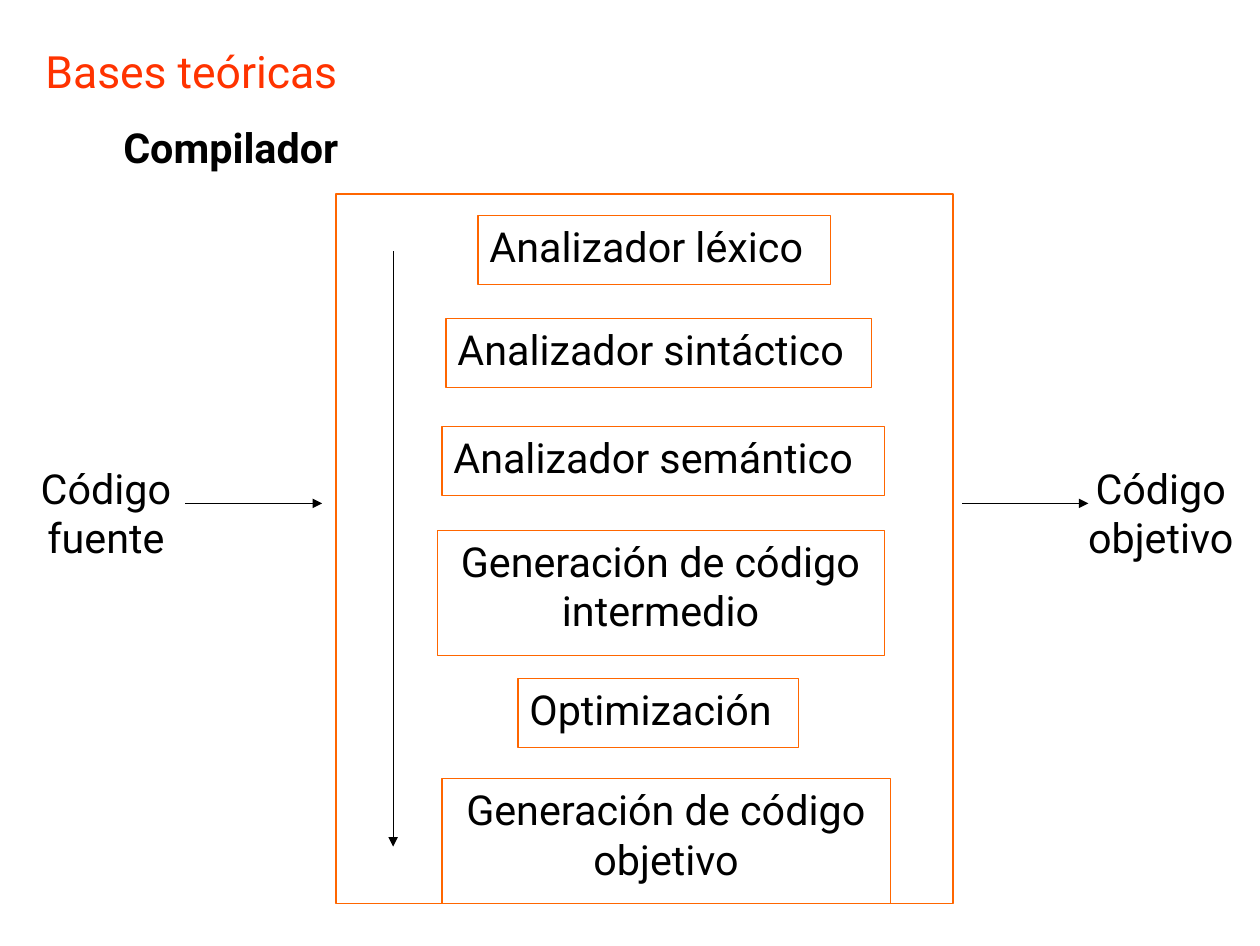
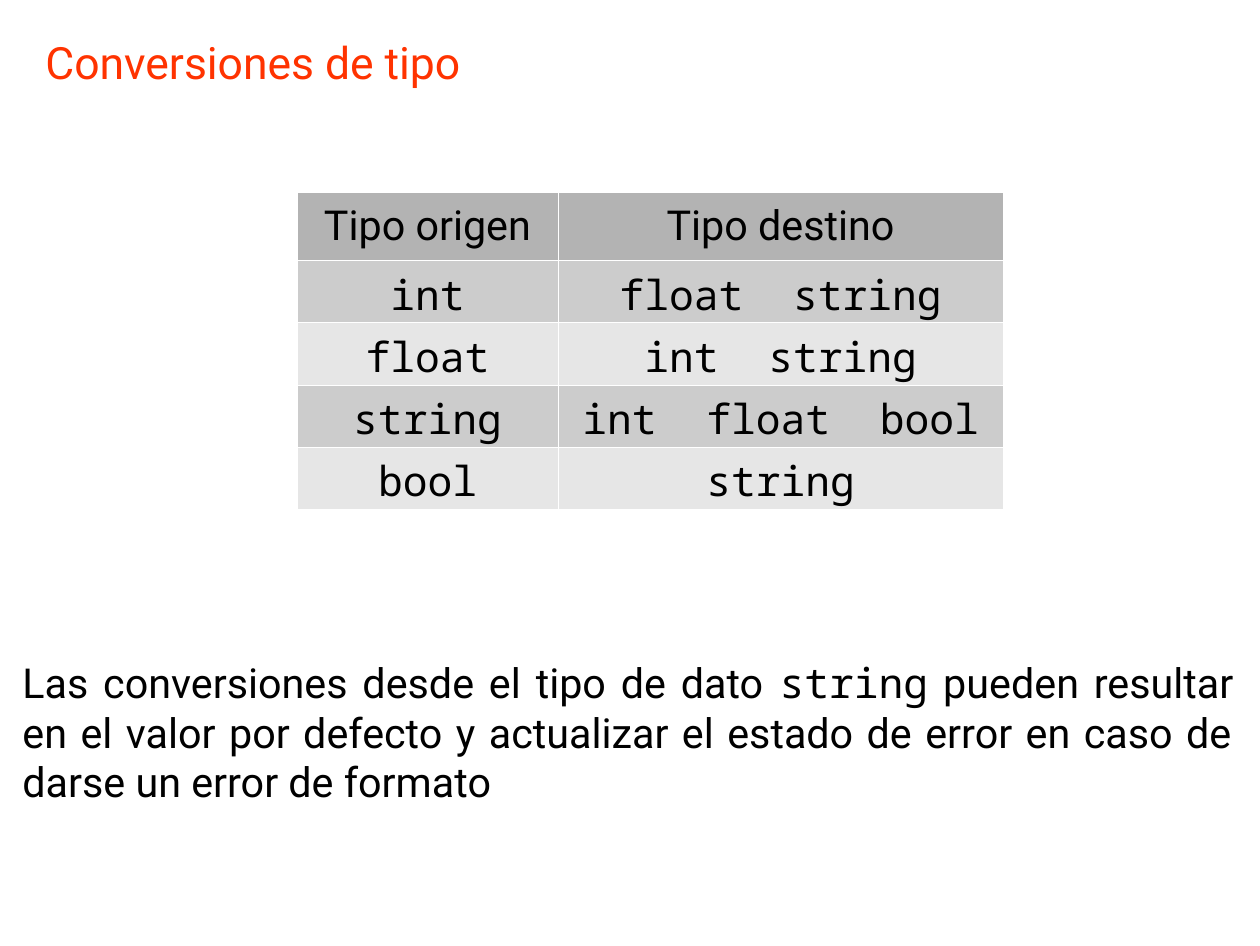
from lxml import etree
from pptx import Presentation
from pptx.dml.color import RGBColor
from pptx.enum.shapes import MSO_CONNECTOR, MSO_SHAPE
from pptx.enum.text import MSO_ANCHOR, MSO_AUTO_SIZE, PP_ALIGN
from pptx.oxml.ns import qn
from pptx.util import Inches, Pt

LEFT, CENTER, JUSTIFY = PP_ALIGN.LEFT, PP_ALIGN.CENTER, PP_ALIGN.JUSTIFY
TOP, MIDDLE = MSO_ANCHOR.TOP, MSO_ANCHOR.MIDDLE
NO_AUTOFIT = MSO_AUTO_SIZE.NONE
RECTANGLE, STRAIGHT = MSO_SHAPE.RECTANGLE, MSO_CONNECTOR.STRAIGHT


class Theme:
    title_color = "FF3300"
    text_color = "000000"
    frame_color = "FF6600"
    white = "FFFFFF"
    header_fill = "B3B3B3"
    row_fills = ("CCCCCC", "E6E6E6")
    font = "Roboto"
    code_font = "Noto Sans Mono"
    title_size = 28
    text_size = 26
    frame_line = 1
    phase_line = 0.79
    arrow_line = 0
    cell_line = 0.06
    inset_x = Pt(7.2)
    inset_y = Pt(3.6)


SLIDE_SIZE = (11.02, 8.27)
TITLE_ONLY, TITLE_AND_BODY = 5, 1

COMPILER = {
    "title": ("Bases teóricas", (34, 38, 903, 72)),
    "heading": ("Compilador", (112, 116, 262, 67)),
    "frame": (336, 194, 617, 709),
    "phases": [
        (478, 215, 352, ["Analizador léxico"]),
        (446, 318, 425, ["Analizador sintáctico"]),
        (442, 426, 442, ["Analizador semántico"]),
        (437, 530, 447, ["Generación de código", "intermedio"]),
        (518, 678, 280, ["Optimización"]),
        (442, 778, 448, ["Generación de código", "objetivo"]),
    ],
    "ends": [
        (["Código", "fuente"], (27, 457, 158, 181)),
        (["Código", "objetivo"], (1071, 457, 179, 125)),
    ],
    "arrows": [
        (393, 251, 393, 846),
        (185, 503, 322, 503),
        (962, 503, 1088, 503),
    ],
}
PHASE_PADDING, PHASE_LINE_HEIGHT = 13, 56

CONVERSIONS = {
    "title": ("Conversiones de tipo", (34, 29, 1177, 77)),
    "header": ("Tipo origen", "Tipo destino"),
    "types": [
        ("int", ["float", "string"]),
        ("float", ["int", "string"]),
        ("string", ["int", "float", "bool"]),
        ("bool", ["string"]),
    ],
    "table_at": (297, 192),
    "columns": (261, 445),
    "header_height": 68,
    "row_height": 61,
    "note": (
        "Las conversiones desde el tipo de dato `string` pueden resultar en el "
        "valor por defecto y actualizar el estado de error en caso de darse un "
        "error de formato",
        (11, 651, 1234, 181),
    ),
}


def px(length):
    return length * 8000


def box(numbers):
    return [px(number) for number in numbers]


def rgb(color):
    return RGBColor.from_string(color)


def set_insets(holder, bottom=Theme.inset_y):
    holder.margin_left = holder.margin_right = Theme.inset_x
    holder.margin_top = Theme.inset_y
    holder.margin_bottom = bottom


def write_text(frame, lines, size=Theme.text_size, color=Theme.text_color,
               align=LEFT, anchor=TOP, bold=False, code_gap=None):
    frame.word_wrap = True
    frame.auto_size = NO_AUTOFIT
    frame.vertical_anchor = anchor
    set_insets(frame)
    for index, line in enumerate(lines):
        paragraph = frame.add_paragraph() if index else frame.paragraphs[0]
        properties = paragraph._p.get_or_add_pPr()
        properties.set("marL", "0")
        properties.set("indent", "0")
        etree.SubElement(properties, qn("a:buNone"))
        paragraph.alignment = align
        paragraph.space_before = Pt(0)
        for position, words in enumerate(line.split("`")):
            if not words:
                continue
            is_gap = code_gap and words == " "
            run = paragraph.add_run()
            run.text = words
            run.font.name = Theme.code_font if position % 2 or is_gap else Theme.font
            run.font.size = Pt(size)
            run.font.bold = bold
            run.font.color.rgb = rgb(color)
            if is_gap:
                run._r.get_or_add_rPr().set("spc", str(code_gap))


def place_placeholder(placeholder, area):
    placeholder.left, placeholder.top, placeholder.width, placeholder.height = box(area)
    return placeholder.text_frame


def add_slide(deck, layout, title):
    slide = deck.slides.add_slide(deck.slide_layouts[layout])
    words, area = title
    write_text(place_placeholder(slide.shapes.title, area), [words],
               size=Theme.title_size, color=Theme.title_color)
    return slide


def add_label(slide, lines, area, **style):
    write_text(slide.shapes.add_textbox(*box(area)).text_frame, lines, **style)


def add_rectangle(slide, area, line_width, fill=None):
    rectangle = slide.shapes.add_shape(RECTANGLE, *box(area))
    rectangle.shadow.inherit = False
    if fill:
        rectangle.fill.solid()
        rectangle.fill.fore_color.rgb = rgb(fill)
    else:
        rectangle.fill.background()
    rectangle.line.color.rgb = rgb(Theme.frame_color)
    rectangle.line.width = Pt(line_width)
    return rectangle


def add_arrow(slide, ends):
    arrow = slide.shapes.add_connector(STRAIGHT, *box(ends))
    arrow.line.color.rgb = rgb(Theme.text_color)
    outline = arrow.line._get_or_add_ln()
    outline.set("w", str(Pt(Theme.arrow_line)))
    etree.SubElement(outline, qn("a:tailEnd"), type="triangle")
    etree.SubElement(arrow._element.spPr, qn("a:effectLst"))


def fill_cell(cell, words, fill, bottom):
    cell.fill.solid()
    cell.fill.fore_color.rgb = rgb(fill)
    set_insets(cell, bottom)
    cell.vertical_anchor = MIDDLE
    properties = cell._tc.get_or_add_tcPr()
    for index, side in enumerate(("a:lnL", "a:lnR", "a:lnT", "a:lnB")):
        border = etree.Element(qn(side), w=str(Pt(Theme.cell_line)))
        solid = etree.SubElement(border, qn("a:solidFill"))
        etree.SubElement(solid, qn("a:srgbClr"), val=Theme.white)
        properties.insert(index, border)
    write_text(cell.text_frame, [words], align=CENTER, anchor=MIDDLE,
               code_gap=Theme.text_size * 60)


def build_compiler(deck):
    slide = add_slide(deck, TITLE_ONLY, COMPILER["title"])
    heading, heading_area = COMPILER["heading"]
    add_label(slide, [heading], heading_area, bold=True)
    add_rectangle(slide, COMPILER["frame"], Theme.frame_line, Theme.white)
    for left, top, width, lines in COMPILER["phases"]:
        height = PHASE_PADDING + PHASE_LINE_HEIGHT * len(lines)
        phase = add_rectangle(slide, (left, top, width, height), Theme.phase_line)
        write_text(phase.text_frame, lines, align=CENTER if len(lines) > 1 else LEFT)
    for lines, area in COMPILER["ends"]:
        add_label(slide, lines, area, align=CENTER)
    for ends in COMPILER["arrows"]:
        add_arrow(slide, ends)


def build_conversions(deck):
    slide = add_slide(deck, TITLE_AND_BODY, CONVERSIONS["title"])
    rows = [CONVERSIONS["header"]]
    for source, targets in CONVERSIONS["types"]:
        rows.append((f"`{source}`", " ".join(f"`{target}`" for target in targets)))
    columns = CONVERSIONS["columns"]
    heights = [CONVERSIONS["header_height"]]
    heights += [CONVERSIONS["row_height"]] * len(CONVERSIONS["types"])
    area = (*CONVERSIONS["table_at"], sum(columns), sum(heights))
    table = slide.shapes.add_table(len(rows), len(columns), *box(area)).table
    table.first_row = table.horz_banding = False
    for column, width in zip(table.columns, columns):
        column.width = px(width)
    for index, (row, height) in enumerate(zip(rows, heights)):
        table.rows[index].height = px(height)
        fill = Theme.row_fills[(index - 1) % 2] if index else Theme.header_fill
        bottom = 0 if index else Theme.inset_y
        for column, words in enumerate(row):
            fill_cell(table.cell(index, column), words, fill, bottom)
    note, note_area = CONVERSIONS["note"]
    write_text(place_placeholder(slide.placeholders[1], note_area), [note], align=JUSTIFY)


def main():
    deck = Presentation()
    deck.slide_width, deck.slide_height = map(Inches, SLIDE_SIZE)
    build_compiler(deck)
    build_conversions(deck)
    deck.save("out.pptx")


if __name__ == "__main__":
    main()
